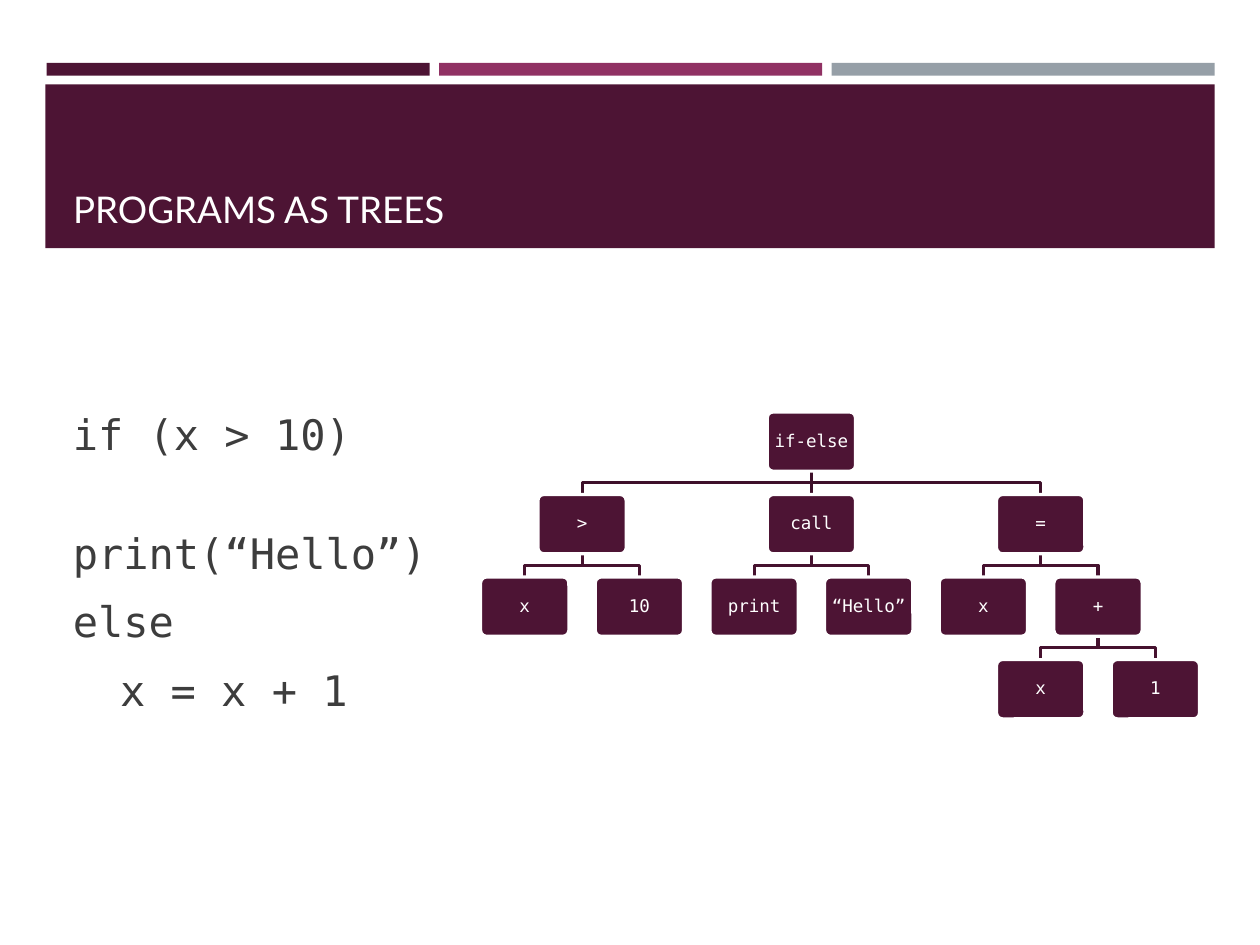
from lxml import etree
from pptx import Presentation
from pptx.dml.color import RGBColor
from pptx.enum.shapes import MSO_CONNECTOR, MSO_SHAPE
from pptx.enum.text import MSO_ANCHOR, MSO_AUTO_SIZE, PP_ALIGN
from pptx.oxml.ns import qn
from pptx.util import Inches, Pt

RECT, ROUNDED = MSO_SHAPE.RECTANGLE, MSO_SHAPE.ROUNDED_RECTANGLE
STRAIGHT = MSO_CONNECTOR.STRAIGHT
MIDDLE, BOTTOM = MSO_ANCHOR.MIDDLE, MSO_ANCHOR.BOTTOM
LEFT, CENTER = PP_ALIGN.LEFT, PP_ALIGN.CENTER
NO_FIT = MSO_AUTO_SIZE.NONE

COLORS = {
    "plum": "4D1434", "magenta": "903163", "gray": "969FA7", "white": "FFFFFF",
    "ink": "3D3D3D", "root_link": "3E102A", "link": "46122F",
}
SANS, MONO = "Lato", "DejaVu Sans Mono"
NODE_WIDTH, NODE_HEIGHT, LEVEL_STEP = 0.7, 0.47, 0.655
ROOT_GAP, CHILD_GAP = 1.82, 0.91

CODE = ["if (x > 10)", "\tprint(“Hello”)", "else", "\tx = x + 1"]
TREE = ("if-else", [
    (">", [("x", []), ("10", [])]),
    ("call", [("print", []), ("“Hello”", [])]),
    ("=", [("x", []), ("+", [("x", []), ("1", [])])]),
])


class SlideBuilder:
    """Draws styled elements on the current slide."""

    def __init__(self, page):
        self.page = page
        self.shapes = page.shapes

    def color(self, name):
        return RGBColor.from_string(COLORS[name])

    def style_font(self, para, font_name, size, color):
        para.font.name = font_name
        para.font.size = Pt(size)
        para.font.color.rgb = self.color(color)

    def style_line(self, shape, color):
        shape.line.color.rgb = self.color(color)
        shape.line.width = Pt(1.75)

    def block(self, kind, left, top, width, height, color):
        shape = self.shapes.add_shape(
            kind, Inches(left), Inches(top), Inches(width), Inches(height))
        shape.shadow.inherit = False
        shape.fill.solid()
        shape.fill.fore_color.rgb = self.color(color)
        shape.line.fill.background()
        return shape

    def title(self, text, left, top, width, height):
        title = self.shapes.title
        title.left, title.top = Inches(left), Inches(top)
        title.width, title.height = Inches(width), Inches(height)
        frame = title.text_frame
        frame.text = text
        frame.auto_size = NO_FIT
        frame.vertical_anchor = BOTTOM
        para = frame.paragraphs[0]
        para.alignment = LEFT
        self.style_font(para, SANS, 21, "white")
        title._element.getparent().append(title._element)

    def code(self, lines, left, top, width, height):
        box = self.shapes.add_textbox(
            Inches(left), Inches(top), Inches(width), Inches(height))
        frame = box.text_frame
        frame.word_wrap = True
        frame.auto_size = NO_FIT
        frame.vertical_anchor = MIDDLE
        frame.text = "\n".join(lines)
        for para in frame.paragraphs:
            para.space_before, para.space_after = Pt(5.8), Pt(4.5)
            para._p.get_or_add_pPr().set("defTabSz", str(Inches(0.375)))
            self.style_font(para, MONO, 24, "ink")

    def node(self, label, center, top):
        shape = self.block(ROUNDED, center - NODE_WIDTH / 2, top,
                           NODE_WIDTH, NODE_HEIGHT, "plum")
        shape.adjustments[0] = 0.1
        self.style_line(shape, "white")
        frame = shape.text_frame
        frame.margin_left = frame.margin_right = Inches(0.04)
        frame.margin_top = frame.margin_bottom = Inches(0.04)
        frame.vertical_anchor = MIDDLE
        frame.text = label
        para = frame.paragraphs[0]
        para.alignment = CENTER
        para.line_spacing = 0.9
        self.style_font(para, MONO, 10, "white")

    def link(self, start, top, end, bottom, color):
        if start == end:
            line = self.shapes.add_connector(
                STRAIGHT, Inches(start), Inches(top), Inches(end), Inches(bottom))
            etree.SubElement(line._element.spPr, qn("a:effectLst"))
        else:
            middle = (top + bottom) / 2
            outline = self.shapes.build_freeform(Inches(start), Inches(top))
            outline.add_line_segments(
                [(Inches(x), Inches(y)) for x, y in
                 [(start, middle), (end, middle), (end, bottom)]], close=False)
            line = outline.convert_to_shape()
            line.shadow.inherit = False
            line.fill.background()
        self.style_line(line, color)

    def tree(self, node, center, top, gap=ROOT_GAP, link_color="root_link"):
        label, children = node
        child_top = top + LEVEL_STEP
        for index, child in enumerate(children):
            child_center = center + (index - (len(children) - 1) / 2) * gap
            self.link(center, top + NODE_HEIGHT, child_center, child_top, link_color)
            self.tree(child, child_center, child_top, CHILD_GAP, "link")
        self.node(label, center, top)


def main():
    deck = Presentation()
    deck.slide_width, deck.slide_height = Inches(10), Inches(7.5)
    builder = SlideBuilder(deck.slides.add_slide(deck.slide_layouts[5]))
    for index, color in enumerate(["plum", "magenta", "gray"]):
        builder.block(RECT, 0.37 + index * 3.115, 0.5, 3.04, 0.1, color)
    builder.block(RECT, 0.36, 0.67, 9.28, 1.3, "plum")
    builder.title("PROGRAMS AS TREES", 0.48, 0.77, 9.05, 1.11)
    builder.code(CODE, 0.48, 2.71, 3.26, 3.49)
    builder.tree(TREE, 6.44, 3.27)
    deck.save("out.pptx")


if __name__ == "__main__":
    main()
